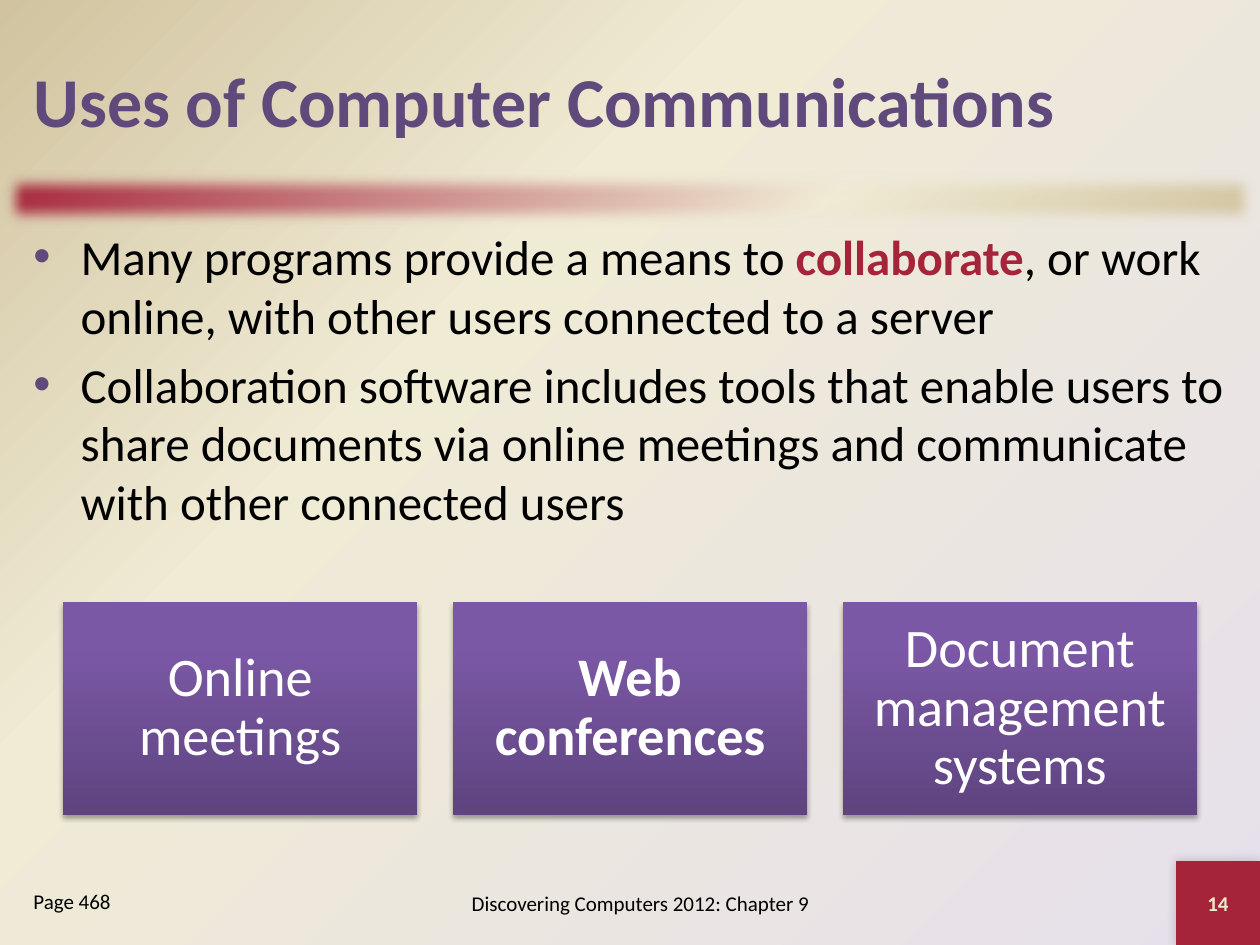
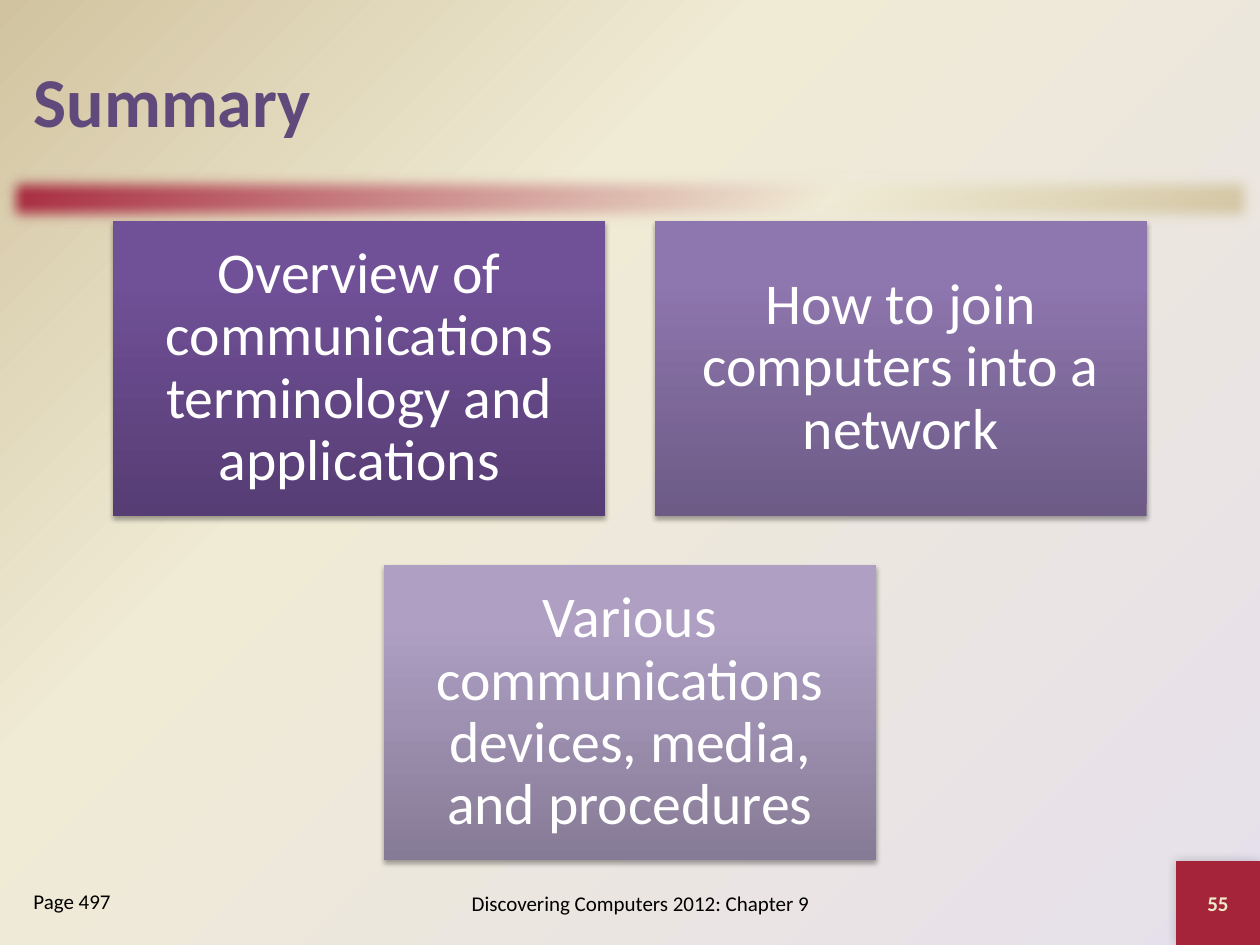
from lxml import etree
from pptx import Presentation
from pptx import oxml
from pptx import util as u
from pptx.dml.color import RGBColor
from pptx.enum import shapes, text
from pptx.oxml import ns

FONT = "Calibri"
PURPLE, RED, BLACK, WHITE, PALE = "604A7B", "A52439", "000000", "FFFFFF", "EEEBCA"
CREAM, SAND, LAVENDER = "F0EBD5", "D1C39F", "E6E0EC"
FOOTER = "Discovering Computers 2012: Chapter 9"
TITLE_BOX = (12, 12, 696, 90)
BAND_BOX = (0, 96, 720, 36)
BODY_BOX = (12, 126, 696, 366)
FOOTER_BOX = (216, 498, 300, 36)
NUMBER_BOX = (672, 492, 48, 48)
PAGE_BOX = (12, 504, 132, 36)


def color(value):
    """Turn a hex string into a colour."""
    return RGBColor.from_string(value)


def set_all(target, **values):
    """Set each given attribute on the target."""
    for name, value in values.items():
        setattr(target, name, value)


def place(shape, box):
    """Move and size a shape to a box in points."""
    for name, value in zip(("left", "top", "width", "height"), box):
        setattr(shape, name, u.Pt(value))


def style_font(font, size, hex_color, bold=False):
    """Apply the shared typeface with a size, colour and weight."""
    set_all(font, name=FONT, size=u.Pt(size), bold=bold)
    font.color.rgb = color(hex_color)


def add_xml(parent, markup):
    """Append a drawing element written as markup."""
    parent.append(oxml.parse_xml(markup.replace(" ", f" {ns.nsdecls('a')} ", 1)))


def set_gradient(fill, element, colors, stops, shade):
    """Fill with a gradient whose stops are percentages."""
    fill.gradient()
    gradient = next(element.iter(ns.qn("a:gradFill")))
    for child in list(gradient):
        gradient.remove(child)
    marks = "".join(
        f'<a:gs pos="{stop * 1000}"><a:srgbClr val="{value}"/></a:gs>'
        for stop, value in zip(stops, colors)
    )
    add_xml(gradient, f"<a:gsLst >{marks}</a:gsLst>")
    add_xml(gradient, shade)


def linear(degrees):
    """Return the markup of a straight gradient direction."""
    return f'<a:lin ang="{degrees * 60000}" scaled="0"/>'


def add_effect(shape, markup):
    """Give a shape one visual effect."""
    shape.shadow.inherit = False
    add_xml(shape.element.spPr.find(ns.qn("a:effectLst")), markup)


def add_shadow(shape, opacity, blur, distance, degrees):
    """Give a shape a soft black shadow."""
    add_effect(
        shape,
        f'<a:outerShdw blurRad="{int(blur * 12700)}" dist="{int(distance * 12700)}" '
        f'dir="{degrees * 60000}" algn="ctr" rotWithShape="0"><a:srgbClr val="{BLACK}">'
        f'<a:alpha val="{opacity * 1000}"/></a:srgbClr></a:outerShdw>',
    )


def add_rectangle(slide, box):
    """Add a rectangle without an outline."""
    shape = slide.shapes.add_shape(shapes.MSO_SHAPE.RECTANGLE, *map(u.Pt, box))
    shape.line.fill.background()
    return shape


def add_text(slide, box):
    """Add a wrapping text box and return its frame."""
    frame = slide.shapes.add_textbox(*map(u.Pt, box)).text_frame
    frame.word_wrap = True
    return frame


def write_line(frame, words, size, hex_color, bold=False, centered=True):
    """Write one paragraph, centred both ways unless told otherwise."""
    paragraph = frame.paragraphs[0]
    paragraph.text = words
    style_font(paragraph.runs[0].font, size, hex_color, bold)
    if centered:
        paragraph.alignment = text.PP_ALIGN.CENTER
        frame.vertical_anchor = text.MSO_ANCHOR.MIDDLE
    return paragraph


def add_base_slide(presentation, title, number, page):
    """Add a slide with its title, band, number square and footers."""
    slide = presentation.slides.add_slide(presentation.slide_layouts[5])
    heading = slide.shapes.title
    place(heading, TITLE_BOX)
    paragraph = write_line(heading.text_frame, title, 40, PURPLE, True)
    paragraph.alignment = text.PP_ALIGN.LEFT

    band = add_rectangle(slide, BAND_BOX)
    set_gradient(band.fill, band.element, (RED, CREAM, SAND), (0, 65, 100), linear(45))
    add_effect(band, '<a:softEdge rad="112500"/>')

    square = add_rectangle(slide, NUMBER_BOX)
    square.fill.solid()
    square.fill.fore_color.rgb = color(RED)
    add_shadow(square, 20, 6, 0, 225)
    write_line(square.text_frame, number, 12, PALE, True)

    write_line(add_text(slide, FOOTER_BOX), FOOTER, 12, BLACK)
    write_line(add_text(slide, PAGE_BOX), page, 12, BLACK, centered=False)
    return slide


def add_bullets(slide, box, items):
    """Add bulleted paragraphs made of (words, emphasised) runs."""
    frame = add_text(slide, box)
    for index, runs in enumerate(items):
        paragraph = frame.add_paragraph() if index else frame.paragraphs[0]
        properties = paragraph._p.get_or_add_pPr()
        properties.set("marL", str(u.Pt(27)))
        properties.set("indent", str(-u.Pt(27)))
        add_xml(properties, f'<a:buClr ><a:srgbClr val="{PURPLE}"/></a:buClr>')
        add_xml(properties, '<a:buFont typeface="Arial"/>')
        add_xml(properties, '<a:buChar char="•"/>')
        if index:
            paragraph.space_before = u.Pt(5.6)
        for words, emphasised in runs:
            run = paragraph.add_run()
            run.text = words
            style_font(run.font, 28, RED if emphasised else BLACK, emphasised)


def add_card(slide, box, words, colors, size, inset, bold):
    """Add one shaded card with centred text."""
    card = add_rectangle(slide, box)
    set_gradient(card.fill, card.element, colors, (0, 80, 100), linear(270))
    add_shadow(card, 35, 3.1, 1.8, 90)
    frame = card.text_frame
    set_all(frame, word_wrap=True, **{
        f"margin_{side}": u.Pt(inset) for side in ("left", "top", "right", "bottom")
    })
    write_line(frame, words, size, WHITE, bold).line_spacing = 0.9


def add_card_rows(slide, box, rows, width, size, inset):
    """Lay out centred rows of cards, with gaps a tenth of a card wide."""
    left, top, total, _ = box
    height, gap = width * 0.6, width * 0.1
    for row_index, row in enumerate(rows):
        row_width = len(row) * (width + gap) - gap
        start = left + (total - row_width) / 2
        for index, (words, colors, bold) in enumerate(row):
            spot = (start + index * (width + gap), top + row_index * (height + gap), width, height)
            add_card(slide, spot, words, colors, size, inset, bold)


def build_uses(presentation):
    """Build the slide on collaboration."""
    slide = add_base_slide(presentation, "Uses of Computer Communications", "14", "Page 468")
    add_bullets(slide, BODY_BOX, [
        [("Many programs provide a means to ", False), ("collaborate", True),
         (", or work online, with other users connected to a server", False)],
        [("Collaboration software includes tools that enable users to share documents "
          "via online meetings and communicate with other connected users", False)],
    ])
    violet = ("5F4480", "7B58A6", "7C57A8")
    tools = [
        ("Online meetings", violet, False),
        ("Web conferences", violet, True),
        ("Document management systems", violet, False),
    ]
    add_card_rows(slide, (36, 344.25, 648, 121.5), [tools], 202.5, 31, 9.3)


def build_summary(presentation):
    """Build the summary slide."""
    slide = add_base_slide(presentation, "Summary", "55", "Page 497")
    rows = [
        [("Overview of communications terminology and applications",
          ("563D74", "705097", "704F99"), False),
         ("How to join computers into a network", ("6D5B86", "8E76AE", "8E75B0"), False)],
        [("Various communications devices, media, and procedures",
          ("867B96", "AE9FC3", "AE9FC4"), False)],
    ]
    add_card_rows(slide, BODY_BOX, rows, 281.25, 33, 9.9)


def main():
    """Build and save the presentation."""
    presentation = Presentation()
    set_all(presentation, slide_width=u.Pt(720), slide_height=u.Pt(540))
    master = presentation.slide_master
    set_gradient(
        master.background.fill, master.element, (LAVENDER, CREAM, SAND), (0, 65, 100),
        '<a:path path="circle"><a:fillToRect l="100000" t="100000"/></a:path>',
    )
    build_uses(presentation)
    build_summary(presentation)
    presentation.save("out.pptx")


if __name__ == "__main__":
    main()
